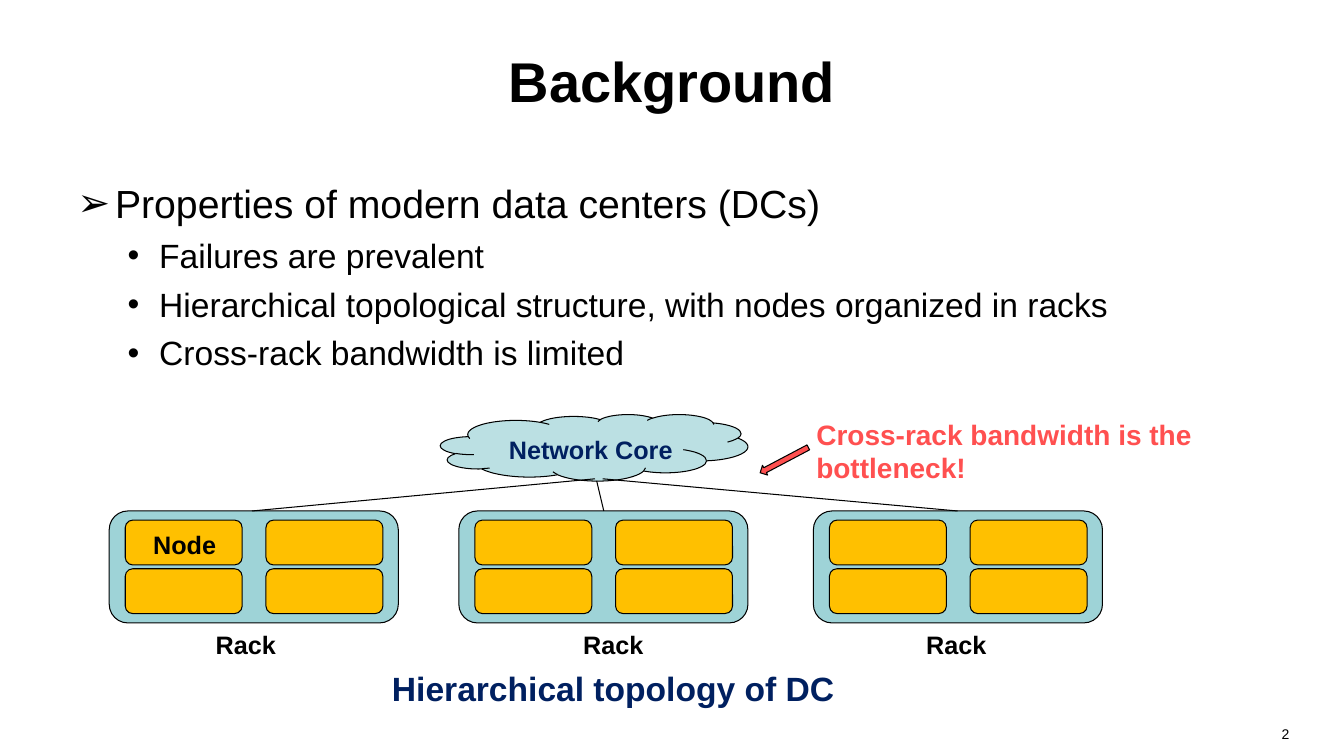
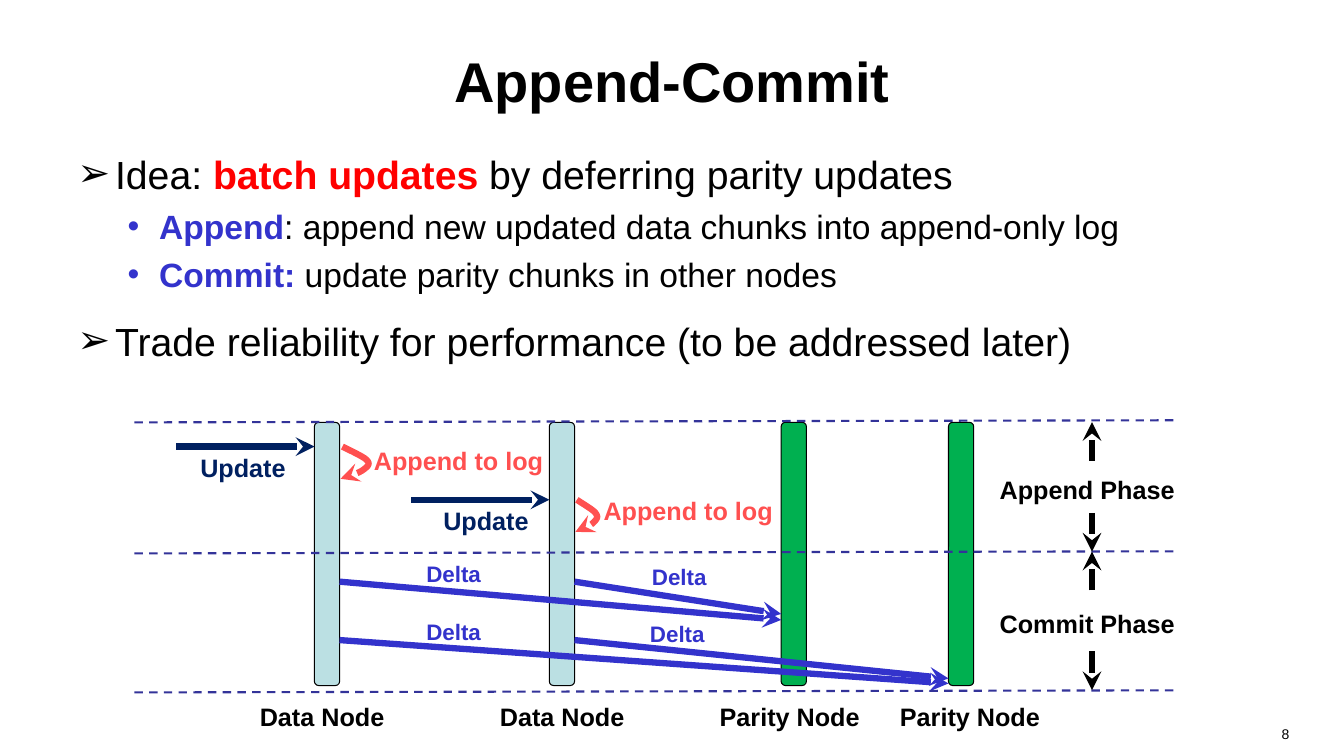
from dataclasses import dataclass

from lxml import etree
from pptx import Presentation
from pptx import util as u
from pptx.dml.color import RGBColor
from pptx.enum import dml, shapes, text
from pptx.oxml.ns import qn


@dataclass(frozen=True)
class Theme:
    """Colours, type sizes and line widths of the deck."""
    font: str = "Arial"
    ink: str = "000000"
    navy: str = "002060"
    blue: str = "3333CC"
    dash: str = "333399"
    red: str = "FF0000"
    coral: str = "FF5050"
    rack: str = "9ED3D7"
    pale: str = "BBE0E3"
    node: str = "FFC000"
    green: str = "00B050"
    title: int = 40
    levels: tuple = (28, 24)
    callout: int = 20
    label: int = 18
    small: int = 16
    number: int = 10
    thin: float = 0.75
    rule: float = 1.5
    thick: float = 4.5


THEME = Theme()
SHAPE = shapes.MSO_SHAPE
LEFT, CENTER, RIGHT = text.PP_ALIGN.LEFT, text.PP_ALIGN.CENTER, text.PP_ALIGN.RIGHT
# Per list level: bullet, left margin, hanging indent, space before
LEVELS = (("➢", 27, 27, 16), ("•", 58.5, 22.5, 6))

# Lists: (level, [(words, accent colour or None), ...])
BACKGROUND = dict(title="Background", number="2", top=124.5, height=158, items=[
    (0, [("Properties of modern data centers (DCs)", None)]),
    (1, [("Failures are prevalent", None)]),
    (1, [("Hierarchical topological structure, with nodes organized in racks", None)]),
    (1, [("Cross-rack bandwidth is limited", None)]),
])
APPEND_COMMIT = dict(title="Append-Commit", number="8", top=103.5, height=160, items=[
    (0, [("Idea: ", None), ("batch updates ", THEME.red),
         ("by deferring parity updates", None)]),
    (1, [("Append", THEME.blue),
         (": append new updated data chunks into append-only log", None)]),
    (1, [("Commit:", THEME.blue), (" update parity chunks in other nodes", None)]),
    (0, [("Trade reliability for performance (to be addressed later)", None)]),
])

# Racks: left edge, label left, uplink start, uplink end
RACKS = [
    (78, 147, (180, 365), (425, 342)),
    (327.75, 409.5, (431.3, 365), (426.2, 343.5)),
    (581, 654.5, (684, 365), (430.5, 342)),
]
RACK_TOP, RACK_SIZE = 365, (206.5, 80)
NODE_SIZE, NODE_INSET, NODE_PITCH = (83.5, 32), (11.5, 6.5), (100.5, 34.75)

# Timeline bars: name, bar left, label left, colour
BARS = [
    ("Data Node", 224.6, 178.5, THEME.pale),
    ("Data Node", 392.4, 350, THEME.pale),
    ("Parity Node", 558, 507, THEME.green),
    ("Parity Node", 677.5, 635.75, THEME.green),
]
BAR_TOP, BAR_SIZE = 301.7, (18, 188)
# Updates: target bar, arrow height, label left, log label (left, top), loop width
UPDATES = [
    (0, 319, 136, (260, 314.6), 20),
    (1, 357, 309.6, (424, 350), 15.5),
]
# Deltas: from bar, to bar, start height, end height, label (left, top)
DELTAS = [
    (0, 2, 415.5, 442.8, (297.4, 396.7)),
    (1, 2, 415.5, 438.5, (458.6, 398.9)),
    (0, 3, 457.2, 488.2, (297.4, 437.8)),
    (1, 3, 457.2, 484.6, (457.2, 439.2)),
]
# Phases: name, label top, upper line, lower line
PHASES = [("Append Phase", 335.5, 301.5, 394), ("Commit Phase", 431.3, 394, 493)]
BOUNDARIES = (301.7, 395.3, 494.6)
# Log loop: start and three cubic curves, as fractions of width and height
LOOP_HEIGHT = 23
LOOP = [(0.07, 0), (0.43, 0.16), (0.82, 0.31), (0.93, 0.41), (1.07, 0.53),
        (1, 0.59), (0.86, 0.69), (0.71, 0.81), (0.36, 0.91), (0, 1)]


def rgb(color):
    """Turn a hex string into a colour."""
    return RGBColor.from_string(color)


def points(*lengths):
    """Convert numbers to point lengths."""
    return [u.Pt(length) for length in lengths]


def write(para, words, size=THEME.label, color=THEME.ink, bold=True, align=None):
    """Add one formatted span to a paragraph."""
    span = para.add_run()
    span.text = words
    font = span.font
    font.name, font.size, font.bold = THEME.font, u.Pt(size), bold
    font.color.rgb = rgb(color)
    if align is not None:
        para.alignment = align


def add_label(page, words, left, top, width, height=26, **style):
    """Place a wrapping text box."""
    box = page.shapes.add_textbox(*points(left, top, width, height))
    box.text_frame.word_wrap = True
    write(box.text_frame.paragraphs[0], words, **{"align": LEFT, **style})


def add_block(canvas, kind, left, top, size, fill, turn=0):
    """Draw a filled, thinly outlined preset shape."""
    block = canvas.shapes.add_shape(kind, *points(left, top, *size))
    block.shadow.inherit = False
    block.fill.solid()
    block.fill.fore_color.rgb = rgb(fill)
    block.line.color.rgb = rgb(THEME.ink)
    block.line.width = u.Pt(THEME.thin)
    block.rotation = turn


def style_line(shape, color, width, arrow=False, dashed=False):
    """Format a line, with an optional arrowhead at its end."""
    line = shape.line
    line.color.rgb = rgb(color)
    line.width = u.Pt(width)
    if dashed:
        line.dash_style = dml.MSO_LINE.DASH
    if arrow:
        outline = shape._element.spPr.find(qn("a:ln"))
        etree.SubElement(outline, qn("a:tailEnd"), type="stealth")


def add_line(page, start, end, color=THEME.ink, width=THEME.thin, **style):
    """Draw a straight connector without a shadow."""
    line = page.shapes.add_connector(shapes.MSO_CONNECTOR.STRAIGHT,
                                     *points(*start, *end))
    style_line(line, color, width, **style)
    etree.SubElement(line._element.spPr, qn("a:effectLst"))


def add_loop(page, left, top, width):
    """Draw the curved arrow from a bar back to itself."""
    curve = [LOOP[0]]
    for first in range(0, len(LOOP) - 1, 3):
        a, b, c, d = LOOP[first:first + 4]
        for t in (step / 6 for step in range(1, 7)):
            s = 1 - t
            weights = s ** 3, 3 * s * s * t, 3 * s * t * t, t ** 3
            curve.append([sum(w * p[axis] for w, p in zip(weights, (a, b, c, d)))
                          for axis in (0, 1)])
    track = [points(left + x * width, top + y * LOOP_HEIGHT) for x, y in curve]
    builder = page.shapes.build_freeform(*track[0])
    builder.add_line_segments(track[1:], close=False)
    loop = builder.convert_to_shape()
    loop.shadow.inherit = False
    loop.fill.background()
    style_line(loop, THEME.coral, THEME.thick, arrow=True)


def place(holder, left, top, width, height, anchor):
    """Move a placeholder and return its cleared frame."""
    holder.left, holder.top, holder.width, holder.height = points(
        left, top, width, height)
    frame = holder.text_frame
    frame.auto_size = text.MSO_AUTO_SIZE.NONE
    frame.vertical_anchor = anchor
    return frame


def add_item(para, level, spans):
    """Fill one bulleted list paragraph."""
    bullet, margin, hanging, gap = LEVELS[level]
    para.level, para.space_before = level, u.Pt(gap)
    props = para._p.get_or_add_pPr()
    props.set("marL", str(u.Pt(margin)))
    props.set("indent", str(-u.Pt(hanging)))
    etree.SubElement(props, qn("a:buFont"), typeface=THEME.font)
    etree.SubElement(props, qn("a:buChar"), char=bullet)
    for words, accent in spans:
        write(para, words, size=THEME.levels[level], color=accent or THEME.ink,
              bold=accent is not None)


def add_page(deck, content):
    """Add a slide with its title, list and number."""
    page = deck.slides.add_slide(deck.slide_layouts[1])
    title, body = page.placeholders
    frame = place(title, 48, 12, 864, 90, text.MSO_ANCHOR.MIDDLE)
    write(frame.paragraphs[0], content["title"], size=THEME.title, align=CENTER)
    frame = place(body, 48, content["top"], 864, content["height"],
                  text.MSO_ANCHOR.TOP)
    for index, (level, spans) in enumerate(content["items"]):
        para = frame.add_paragraph() if index else frame.paragraphs[0]
        add_item(para, level, spans)
    add_label(page, content["number"], 704, 515, 224, 25, size=THEME.number,
              bold=False, align=RIGHT)
    return page


def draw_topology(page):
    """Draw the racks, the network core and their links."""
    for left, label_left, start, end in RACKS:
        group = page.shapes.add_group_shape()
        add_block(group, SHAPE.ROUNDED_RECTANGLE, left, RACK_TOP, RACK_SIZE, THEME.rack)
        for cell in range(4):
            column, row = divmod(cell, 2)
            add_block(group, SHAPE.ROUNDED_RECTANGLE,
                      left + NODE_INSET[0] + column * NODE_PITCH[0],
                      RACK_TOP + NODE_INSET[1] + row * NODE_PITCH[1],
                      NODE_SIZE, THEME.node)
        add_label(page, "Rack", label_left, 445.7, 62)
    add_block(page, SHAPE.CLOUD, 314.6, 296, (219.6, 47.5), THEME.pale)
    for _, _, start, end in RACKS:
        add_line(page, start, end)
    add_label(page, "Network Core", 356.4, 306.7, 155, color=THEME.navy)
    add_label(page, "Node", 102.3, 374.4, 62)
    add_label(page, "Hierarchical topology of DC", 272.9, 473.8, 333.4, 36,
              size=THEME.levels[1], color=THEME.navy)
    add_block(page, SHAPE.RIGHT_ARROW, 540.7, 324.7, (38.9, 7.9), THEME.coral, 152.2)
    add_label(page, "Cross-rack bandwidth is the bottleneck!", 576, 294.5, 307.4, 55,
              size=THEME.callout, color=THEME.coral)


def draw_timeline(page):
    """Draw the bars, their messages and the two phases."""
    for name, left, label_left, fill in BARS:
        add_block(page, SHAPE.ROUNDED_RECTANGLE, left, BAR_TOP, BAR_SIZE, fill)
        add_label(page, name, label_left, 497.5, 122)
    for bar, height, label_left, log_at, loop_width in UPDATES:
        left = BARS[bar][1]
        add_line(page, (left - 98.6, height), (left, height), THEME.navy,
                 THEME.thick, arrow=True)
        add_label(page, "Update", label_left, height + 0.7, 81, color=THEME.navy)
        add_loop(page, left + BAR_SIZE[0] + 0.6, height, loop_width)
        add_label(page, "Append to log", *log_at, 140, color=THEME.coral)
    for source, target, start, end, label_at in DELTAS:
        add_line(page, (BARS[source][1] + BAR_SIZE[0], start), (BARS[target][1], end),
                 THEME.blue, THEME.thick, arrow=True)
        add_label(page, "Delta", *label_at, 63.4, size=THEME.small, color=THEME.blue)
    for height in BOUNDARIES:
        add_line(page, (96, height), (839.5, height - 1.5), THEME.dash, THEME.rule,
                 dashed=True)
    for name, label_top, upper, lower in PHASES:
        for tip, tail in ((upper, upper + 27.7), (lower, lower - 27.7)):
            add_line(page, (780, tail), (780, tip), width=THEME.thick, arrow=True)
        add_label(page, name, 707, label_top, 145.4)


def main():
    """Build and save the deck."""
    deck = Presentation()
    deck.slide_width, deck.slide_height = points(960, 540)
    draw_topology(add_page(deck, BACKGROUND))
    draw_timeline(add_page(deck, APPEND_COMMIT))
    deck.save("out.pptx")


main()
